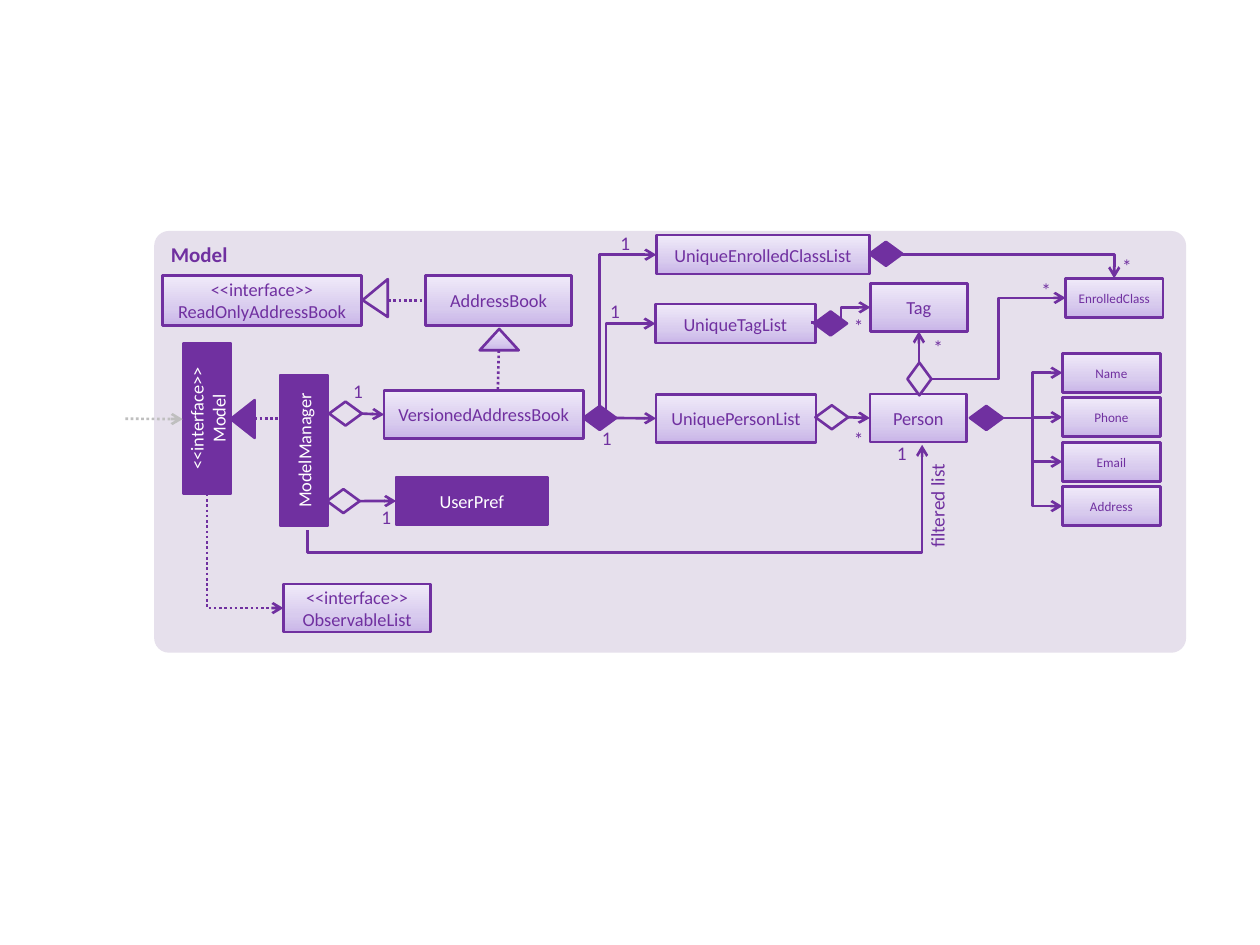
from copy import deepcopy
from dataclasses import dataclass

from lxml import etree
from pptx import Presentation
from pptx.dml.color import RGBColor
from pptx.enum.dml import MSO_LINE
from pptx.enum.shapes import MSO_CONNECTOR, MSO_SHAPE
from pptx.enum.text import MSO_ANCHOR, PP_ALIGN
from pptx.oxml.ns import qn
from pptx.util import Pt

RECT, ROUND = MSO_SHAPE.RECTANGLE, MSO_SHAPE.ROUNDED_RECTANGLE
TRI, GEM = MSO_SHAPE.ISOSCELES_TRIANGLE, MSO_SHAPE.FLOWCHART_DECISION
LINE, ELBOW = MSO_CONNECTOR.STRAIGHT, MSO_CONNECTOR.ELBOW
LEFT, MID, RIGHT = PP_ALIGN.LEFT, PP_ALIGN.CENTER, PP_ALIGN.RIGHT
HIGH, CENTRE = MSO_ANCHOR.TOP, MSO_ANCHOR.MIDDLE
DOTS = MSO_LINE.ROUND_DOT
TOP, WEST, LOW, EAST = range(4)
HEX = {"ink": "7030A0", "panel": "E6E0EC", "white": "FFFFFF", "grey": "BFBFBF"}
FADE = [(0, "C9B5E8"), (0.35, "D8CBEE"), (1, "F0EAF9")]


@dataclass
class Box:
    """A node; fill is a key of HEX, "fade" or None."""
    name: str
    x: float
    y: float
    w: float
    h: float
    text: str = ""
    size: float = 10.5
    kind: int = RECT
    fill: str | None = "fade"
    turn: float = 0
    adj: float | None = None


@dataclass
class Link:
    """Each end is a point or a (box name, side) pair."""
    start: tuple
    end: tuple
    form: str = "line"  # line, step (three legs) or corner (two legs)
    down: bool = False  # first leg is vertical
    color: str = "ink"
    dots: bool = False
    arrow: bool = True
    adj: float | None = None


def gem(name: str, x: float, y: float, fill: str | None = None, turn: float = 0) -> Box:
    return Box(name, x, y, 18.7, 13.7, kind=GEM, fill=fill, turn=turn)


FIELDS = ["Name", "Phone", "Email", "Address"]
BOXES = [
    Box("pref", 226.4, 272.6, 86.4, 27.4, "UserPref", fill="ink"),
    Box("manager", 130.6, 243.7, 86.4, 27.4, "ModelManager", fill="ink", turn=270),
    Box("model", 75.2, 225.4, 86.4, 27.4, "<<interface>>\nModel", fill="ink", turn=270),
    Box("model tip", 127.9, 232.6, 21.6, 13.7, kind=TRI, fill="ink", turn=270),
    Box("versions", 219.5, 223.2, 113.8, 27.4, "VersionedAddressBook"),
    Box("persons", 374.9, 225.4, 91.4, 27.4, "UniquePersonList"),
    Box("person", 497.1, 225.2, 55.4, 27.4, "Person"),
    Box("watch", 162, 333.8, 84.2, 27.4, "<<interface>>\vObservableList"),
    Box("tags", 374.5, 173.8, 91.4, 22.3, "UniqueTagList"),
    Box("tag", 497.4, 162, 55.4, 27.4, "Tag"),
    Box("reader", 92.8, 157.4, 113.8, 28.6, "<<interface>>\vReadOnlyAddressBook"),
    Box("book", 243.1, 157.4, 83.6, 28.6, "AddressBook"),
    Box("class", 608.9, 159.1, 55.6, 22.3, "EnrolledClass", 7.5),
    Box("classes", 375, 134.4, 121.9, 22.3, "UniqueEnrolledClassList"),
    Box("book tip", 274.1, 188, 22.3, 12.2, kind=TRI),
    Box("reader tip", 203.6, 163.1, 21.6, 14.4, kind=TRI, fill="panel", turn=270, adj=0.445),
    gem("pref gem", 186.9, 279.5),
    gem("book gem", 188.1, 229.5),
    gem("versions gem", 333.4, 232),
    gem("persons gem", 466, 231.6),
    gem("person gem", 554.3, 232, "ink"),
    gem("tags gem", 465.3, 178, "ink"),
    gem("tag gem", 516, 209.7, turn=270),
    gem("classes gem", 496.9, 138.2, "ink"),
] + [Box(f, 607.1, 201.9 + 25.4 * i, 56, 22.3, f, 7.5) for i, f in enumerate(FIELDS)]
BOXES[18].fill = "ink"

LINKS = [
    Link((175.6, 303.1), (526.9, 254.2), "step", True, adj=-0.26),
    Link(("pref gem", EAST), ("pref", WEST)),
    Link((71.7, 239.3), (104.4, 239.5), color="grey", dots=True),
    Link((145.4, 239.2), (162.6, 239.2), dots=True, arrow=False),
    Link(("book gem", EAST), ("versions", WEST)),
    Link(("versions gem", EAST), ("persons", WEST)),
    Link(("persons gem", EAST), ("person", WEST)),
    Link((118.4, 282.2), ("watch", WEST), "corner", True, dots=True),
    Link((346.3, 243.4), ("tags", WEST), "corner", True),
    Link((463.6, 184.5), ("tag", WEST), "step"),
    Link((525.1, 207.4), ("tag", LOW)),
    Link((285, 200.2), (284.5, 223.2), dots=True, arrow=False),
    Link((221.8, 171.7), ("book", WEST), dots=True, arrow=False),
    Link((532, 216.6), ("class", WEST), "step"),
    Link(("classes", EAST), ("class", TOP), "corner"),
    Link((342.7, 231.8), ("classes", WEST), "corner", True),
] + [Link(("person gem", EAST), (f, WEST), "step") for f in FIELDS]

MARKS = [
    ("1", 339.1, 243.4), ("*", 483.1, 244.1), ("1", 197.1, 216.7), ("1", 213.1, 288.7),
    ("1", 507.7, 252), ("*", 528.5, 191.5), ("*", 483.1, 179.5), ("1", 343.9, 171.2),
    ("*", 590.3, 159.2), ("*", 636.4, 145.4), ("1", 349.7, 132),
]


def rgb(key: str) -> RGBColor:
    return RGBColor.from_string(HEX.get(key, key))


def write(shape, text: str, size: float = 11, color: str = "ink", bold: bool = False,
          align=MID, anchor=HIGH, pad: tuple = (0, 0)) -> None:
    frame = shape.text_frame
    frame.word_wrap, frame.vertical_anchor = True, anchor
    frame.margin_left = frame.margin_right = Pt(pad[0])
    frame.margin_top = frame.margin_bottom = Pt(pad[1])
    frame.text = text
    for para in frame.paragraphs:
        para.alignment = align
        for run in para.runs:
            font = run.font
            font.name, font.size, font.bold = "Calibri", Pt(size), bold
            font.color.rgb = rgb(color)


def paint(shape, fill: str | None) -> None:
    if fill is None:
        shape.fill.background()
    elif fill == "fade":
        shape.fill.gradient()
        shape.fill.gradient_angle = 90
        stops = shape.element.spPr.find(".//" + qn("a:gsLst"))
        stops.insert(1, deepcopy(stops[0]))
        for stop, (place, color) in zip(shape.fill.gradient_stops, FADE):
            stop.position, stop.color.rgb = place, rgb(color)
    else:
        shape.fill.solid()
        shape.fill.fore_color.rgb = rgb(fill)


def draw(shapes, box: Box):
    shape = shapes.add_shape(box.kind, Pt(box.x), Pt(box.y), Pt(box.w), Pt(box.h))
    shape.rotation, shape.shadow.inherit = box.turn, False
    if box.adj is not None:
        shape.adjustments[0] = box.adj
    paint(shape, box.fill)
    shape.line.color.rgb, shape.line.width = rgb("ink"), Pt(1.5)
    if box.text:
        color = "white" if box.fill == "ink" else "ink"
        write(shape, box.text, size=box.size, color=color, anchor=CENTRE)
    return shape


def spot(end: tuple, nodes: dict) -> tuple[float, float]:
    """The point, in points, where a link ends."""
    if not isinstance(end[0], str):
        return end
    node, (fx, fy) = nodes[end[0]], [(0.5, 0), (0, 0.5), (0.5, 1), (1, 0.5)][end[1]]
    return (node.left + fx * node.width) / Pt(1), (node.top + fy * node.height) / Pt(1)


def join(shapes, link: Link, nodes: dict) -> None:
    (x1, y1), (x2, y2) = spot(link.start, nodes), spot(link.end, nodes)
    if link.down:  # lay the path out a quarter turn back about its centre
        cx, cy, dx, dy = (x1 + x2) / 2, (y1 + y2) / 2, (x2 - x1) / 2, (y2 - y1) / 2
        x1, y1, x2, y2 = cx - dy, cy + dx, cx + dy, cy - dx
    kind = LINE if link.form == "line" else ELBOW
    wire = shapes.add_connector(kind, Pt(x1), Pt(y1), Pt(x2), Pt(y2))
    props = wire.element.spPr
    if link.down:
        props.find(qn("a:xfrm")).set("rot", str(90 * 60000))
    else:
        if isinstance(link.start[0], str):
            wire.begin_connect(nodes[link.start[0]], link.start[1])
        if isinstance(link.end[0], str):
            wire.end_connect(nodes[link.end[0]], link.end[1])
    geom = props.find(qn("a:prstGeom"))
    if link.form == "corner":
        geom.set("prst", "bentConnector2")
    if link.adj is not None:
        guide = etree.SubElement(geom.find(qn("a:avLst")), qn("a:gd"))
        guide.set("name", "adj1")
        guide.set("fmla", f"val {round(link.adj * 100000)}")
    wire.line.color.rgb, wire.line.width = rgb(link.color), Pt(1.5)
    if link.dots:
        wire.line.dash_style = DOTS
    if link.arrow:
        etree.SubElement(props.find(qn("a:ln")), qn("a:tailEnd")).set("type", "arrow")
    etree.SubElement(props, qn("a:effectLst"))


def main() -> None:
    deck = Presentation()
    deck.slide_width, deck.slide_height = Pt(720), Pt(540)
    shapes = deck.slides.add_slide(deck.slide_layouts[6]).shapes
    panel = draw(shapes, Box("panel", 88.1, 132, 589.7, 241, kind=ROUND, fill="panel", adj=0.035))
    panel.line.fill.background()
    write(panel, "Model", size=12, bold=True, align=LEFT, pad=(7.2, 3.6))
    nodes = {box.name: draw(shapes, box) for box in BOXES}
    for link in LINKS:
        join(shapes, link, nodes)
    for text, x, y in MARKS:
        write(shapes.add_textbox(Pt(x), Pt(y), Pt(15.1), Pt(14.4)), text)
    label = shapes.add_textbox(Pt(501.1), Pt(282.2), Pt(69.1), Pt(20.9))
    label.rotation = 270
    write(label, "filtered list", align=RIGHT, pad=(7.2, 3.6))
    deck.save("out.pptx")


if __name__ == "__main__":
    main()
